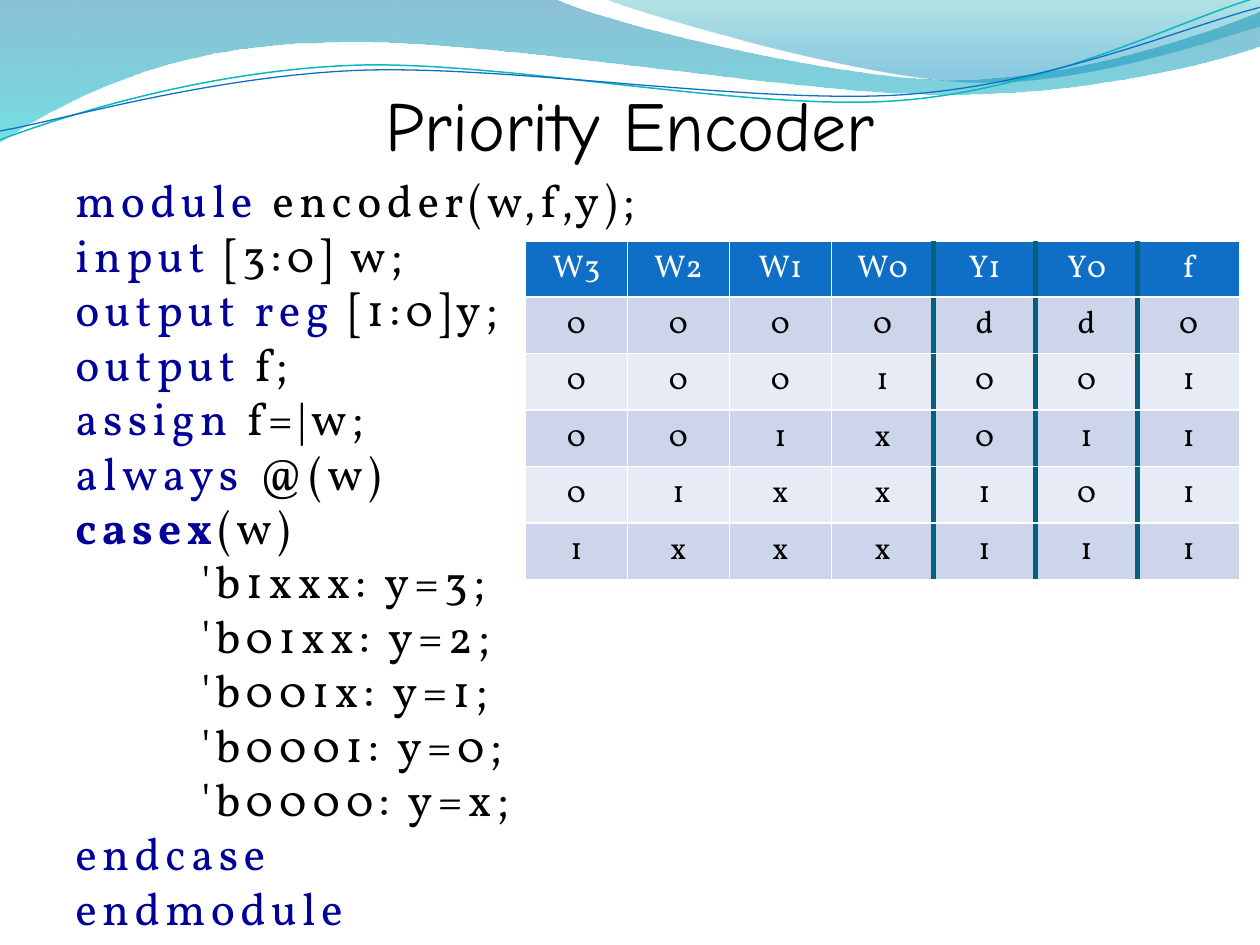
import pptx
import pptx.dml.color
import pptx.enum.text
import pptx.oxml
import pptx.oxml.ns
import pptx.util
from pptx.util import Cm, Pt

KEYWORD, BLACK, WHITE = "000099", "000000", "FFFFFF"
HEADER_FILL, BAND_FILLS, DIVIDER = "0F6FC6", ("CCD5EA", "E7EBF5"), "04617B"
CODE_FONT, TITLE_FONT = "Vollkorn", "Comic Neue"

# Each line of code: the keyword part, then the plain part.
CODE = [
    ("module ", "encoder(w,f,y);"),
    ("input ", "[3:0] w;"),
    ("output reg ", "[1:0]y;"),
    ("output", " f;"),
    ("assign ", "f=|w;"),
    ("always ", "@(w)"),
    ("casex", "(w)"),
    ("", "\t'b1xxx: y=3;"),
    ("", "\t'b01xx: y=2;"),
    ("", "\t'b001x: y=1;"),
    ("", "\t'b0001: y=0;"),
    ("", "\t'b0000: y=x;"),
    ("endcase", ""),
    ("endmodule", ""),
]
BOLD_KEYWORDS = {"casex"}

TRUTH_TABLE = [
    ("W3", "W2", "W1", "W0", "Y1", "Y0", "f"),
    ("0", "0", "0", "0", "d", "d", "0"),
    ("0", "0", "0", "1", "0", "0", "1"),
    ("0", "0", "1", "x", "0", "1", "1"),
    ("0", "1", "x", "x", "1", "0", "1"),
    ("1", "x", "x", "x", "1", "1", "1"),
]
DIVIDED_COLUMNS = (3, 4, 5)  # a thick divider stands right of each

# Points in cm. A segment of one point is a straight side, one of three a curve.
WAVES = [
    {"start": (0, -0.03),
     "segments": [[(11.18, -0.03)],
                  [(12.09, 0.43), (16.87, 1.6), (19.25, 1.6)],
                  [(21.67, 1.6), (24.33, 0.66), (25.4, 0.23)],
                  [(25.43, 0.91)],
                  [(24.97, 1.12), (22.1, 1.93), (18.95, 1.9)],
                  [(15.8, 1.9), (9.7, 0.71), (6.53, 0.86)],
                  [(3.28, 0.89), (1.17, 2.11), (-0.03, 2.87)]],
     "stops": [(0, "0074A1", 45), (100, "00C6CF", 55)]},
    {"start": (12.17, -0.03),
     "segments": [[(12.93, 0.28), (17.32, 1.57), (19.53, 1.65)],
                  [(21.74, 1.75), (24.41, 0.81), (25.4, 0.53)],
                  [(25.4, 0)]],
     "stops": [(0, "00A1A9", 30), (80, "008BBF", 45)]},
    {"start": (0, 2.82),
     "segments": [[(1.22, 2.36), (4.01, 1.45), (7.04, 1.32)],
                  [(10.03, 1.19), (15.06, 2.26), (18.11, 2.03)],
                  [(21.16, 1.8), (23.83, 0.38), (25.35, -0.05)]],
     "line": ("0AB8BF", 0.85)},
    {"start": (0, 2.64),
     "segments": [[(1.19, 2.44), (4.17, 1.55), (7.19, 1.42)],
                  [(10.24, 1.3), (15.14, 2.11), (18.21, 1.91)],
                  [(21.23, 1.7), (23.9, 0.53), (25.4, 0.15)]],
     "line": ("0F6FC6", 0.75)},
]


def color(value):
    return pptx.dml.color.RGBColor.from_string(value)


def drawing_xml(tag, attributes="", content=""):
    """Make an element of the DrawingML namespace."""
    return pptx.oxml.parse_xml(
        f'<a:{tag} {pptx.oxml.ns.nsdecls("a")} {attributes}>{content}</a:{tag}>')


def set_values(target, values):
    for name, value in values.items():
        setattr(target, name, value)


def bend_segments(shape, segments):
    """Turn each run of three straight sides that stands for a curve into a Bézier."""
    sides = iter(list(shape.element.iter(pptx.oxml.ns.qn("a:lnTo"))))
    for segment in segments:
        group = [next(sides) for _ in segment]
        if len(group) == 3:
            curve = drawing_xml("cubicBezTo")
            group[0].addprevious(curve)
            for side in group:
                curve.append(side[0])
                side.getparent().remove(side)


def set_vertical_gradient(shape, stops):
    """Fill from top to bottom with (position, colour, opacity) stops in percent."""
    shape.fill.background()
    stop_xml = "".join(
        f'<a:gs pos="{position * 1000}"><a:srgbClr val="{value}">'
        f'<a:alpha val="{opacity * 1000}"/></a:srgbClr></a:gs>'
        for position, value, opacity in stops)
    gradient = drawing_xml("gradFill", 'rotWithShape="1"',
                           f'<a:gsLst>{stop_xml}</a:gsLst><a:lin ang="5400000" scaled="0"/>')
    no_fill = shape.element.spPr.find(pptx.oxml.ns.qn("a:noFill"))
    no_fill.getparent().replace(no_fill, gradient)


def add_wave(slide, wave):
    points = [(Cm(x), Cm(y)) for x, y in [wave["start"], *sum(wave["segments"], [])]]
    builder = slide.shapes.build_freeform(*points[0])
    builder.add_line_segments(points[1:], close="stops" in wave)
    shape = builder.convert_to_shape()
    bend_segments(shape, wave["segments"])
    shape.shadow.inherit = False
    if "stops" in wave:
        set_vertical_gradient(shape, wave["stops"])
        shape.line.fill.background()
    else:
        shape.fill.background()
        line_color, width = wave["line"]
        shape.line.color.rgb = color(line_color)
        shape.line.width = Pt(width)


def add_run(paragraph, text, font, size, text_color, bold=False):
    run = paragraph.add_run()
    run.text = text
    set_values(run.font, {"name": font, "size": Pt(size), "bold": bold})
    run.font.color.rgb = color(text_color)
    return run


def add_text_frame(slide, box, **values):
    frame = slide.shapes.add_textbox(*map(Cm, box)).text_frame
    set_values(frame, {"word_wrap": True, **values})
    return frame


def add_title(slide):
    frame = add_text_frame(slide, (1.27, 0.84, 22.86, 2.49), margin_left=0, margin_right=0,
                           margin_bottom=0, vertical_anchor=pptx.enum.text.MSO_ANCHOR.BOTTOM)
    paragraph = frame.paragraphs[0]
    paragraph.alignment = pptx.enum.text.PP_ALIGN.CENTER
    add_run(paragraph, "Priority Encoder", TITLE_FONT, 40, BLACK)


def add_code(slide):
    frame = add_text_frame(slide, (1.27, 3.33, 22.86, 15.72), margin_top=Cm(0.15))
    for index, (keyword, plain) in enumerate(CODE):
        paragraph = frame.add_paragraph() if index else frame.paragraphs[0]
        set_values(paragraph, {"alignment": pptx.enum.text.PP_ALIGN.JUSTIFY,
                               "line_spacing": Pt(31.1)})
        if plain.startswith("\t"):
            paragraph._p.get_or_add_pPr().append(
                drawing_xml("tabLst", "", f'<a:tab pos="{Cm(2.54)}" algn="l"/>'))
        for text, text_color in ((keyword, KEYWORD), (plain, BLACK)):
            if text:
                run = add_run(paragraph, text, CODE_FONT, 26, text_color, text in BOLD_KEYWORDS)
                run.font._element.set("spc", "300")


def add_dividers(cell, column):
    """Draw the thick lines left and right of a cell; the table style draws the rest."""
    sides = [side for side, divided in (("lnL", column - 1), ("lnR", column))
             if divided in DIVIDED_COLUMNS]
    for index, side in enumerate(sides):
        cell._tc.get_or_add_tcPr().insert(index, drawing_xml(
            side, f'w="{Pt(3)}"', f'<a:solidFill><a:srgbClr val="{DIVIDER}"/></a:solidFill>'))


def add_truth_table(slide):
    rows, columns = len(TRUTH_TABLE), len(TRUTH_TABLE[0])
    table = slide.shapes.add_table(rows, columns, Cm(10.59), Cm(4.87), Cm(14.4), Cm(6.82)).table
    for column in table.columns:
        column.width = Cm(14.4 / columns)
    for r, texts in enumerate(TRUTH_TABLE):
        table.rows[r].height = Cm(1.14 if r else 1.12)
        for c, text in enumerate(texts):
            cell = table.cell(r, c)
            cell.fill.solid()
            cell.fill.fore_color.rgb = color(BAND_FILLS[(r - 1) % 2] if r else HEADER_FILL)
            add_dividers(cell, c)
            paragraph = cell.text_frame.paragraphs[0]
            paragraph.alignment = pptx.enum.text.PP_ALIGN.CENTER
            add_run(paragraph, text, CODE_FONT, 18, BLACK if r else WHITE)


def main():
    presentation = pptx.Presentation()
    set_values(presentation, {"slide_width": Cm(25.4), "slide_height": Cm(19.05)})
    slide = presentation.slides.add_slide(presentation.slide_layouts[6])
    for wave in WAVES:
        add_wave(slide, wave)
    add_code(slide)
    add_title(slide)
    add_truth_table(slide)
    presentation.save("out.pptx")


if __name__ == "__main__":
    main()
